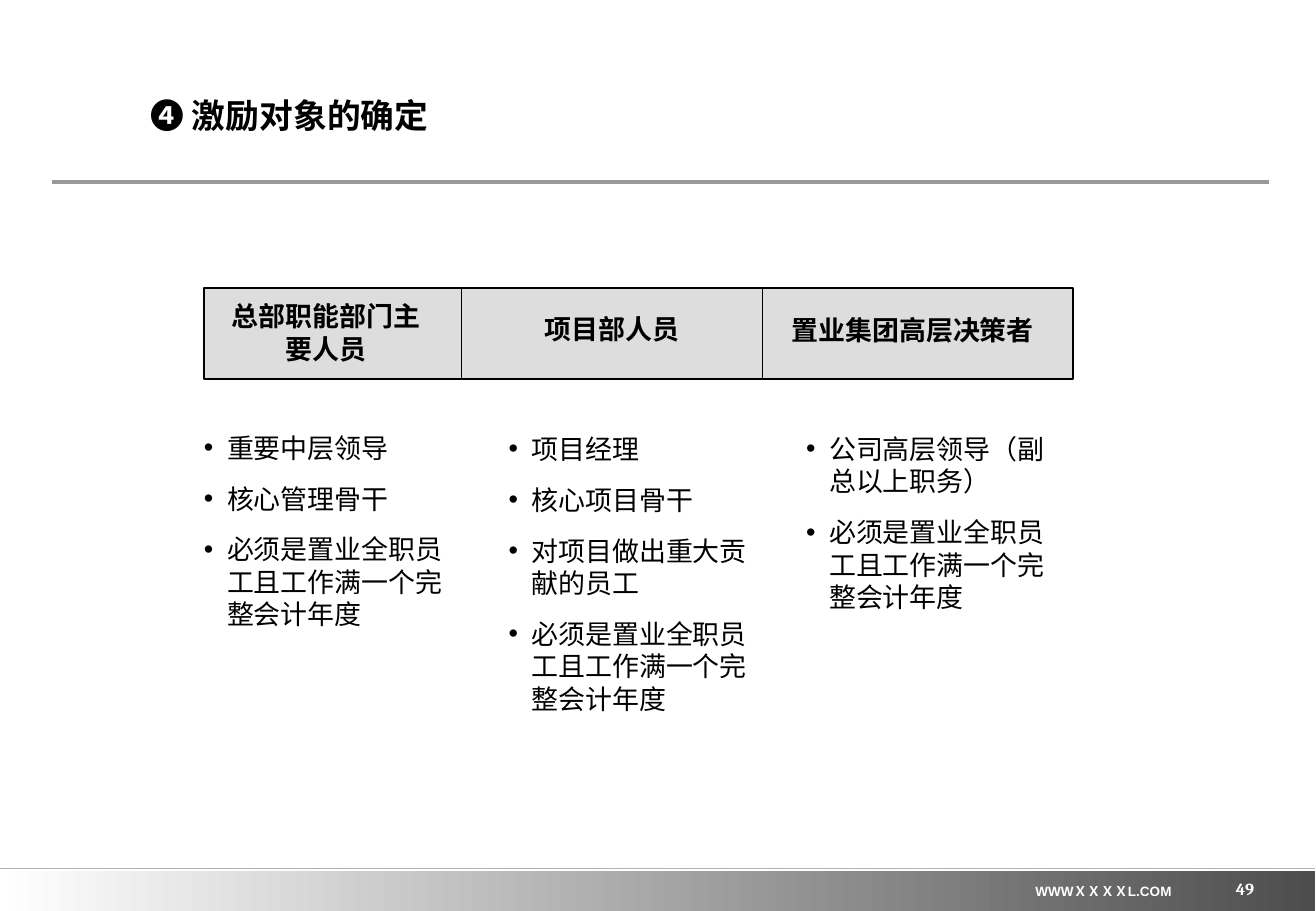
from dataclasses import dataclass

from lxml import etree
from pptx import Presentation
from pptx import util as u
from pptx.dml.color import RGBColor
from pptx.enum import shapes, text
from pptx.oxml import ns
from pptx.shapes.autoshape import Shape
from pptx.slide import Slide

COLORS = {
    "black": "000000",
    "white": "FFFFFF",
    "header": "DDDDDD",
    "title_rule": "999999",
    "footer_rule": "B2B2B2",
    "footer_end": "4D4D4D",
}
CJK_FONT = "Noto Sans CJK SC"
HEADER_TOP, HEADER_HEIGHT = 2.37, 0.75
BULLET_INDENT = 0.19
FULL_TIME_RULE = "必须是置业全职员工且工作满一个完整会计年度"


@dataclass(frozen=True)
class Box:
    left: float
    top: float
    width: float
    height: float

    def lengths(self) -> list[u.Length]:
        return [u.Inches(side) for side in (self.left, self.top, self.width, self.height)]


@dataclass(frozen=True)
class TextStyle:
    size: float
    font: str = "Arial"
    bold: bool = True
    color: str = "black"
    align: text.PP_ALIGN = text.PP_ALIGN.LEFT
    anchor: text.MSO_ANCHOR = text.MSO_ANCHOR.TOP
    margins: tuple[float, float] = (0, 0)
    line_spacing: float | None = None
    space_before: float = 0
    bullet: bool = False


@dataclass(frozen=True)
class Column:
    left: float
    width: float
    header: str
    header_box: Box
    items: tuple[str, ...]
    items_box: Box


@dataclass(frozen=True)
class Rule:
    left: float
    right: float
    top: float
    color: str
    width: float


TITLE = TextStyle(20, anchor=text.MSO_ANCHOR.MIDDLE)
HEADER = TextStyle(16, align=text.PP_ALIGN.CENTER, margins=(0.1, 0.05), line_spacing=19.5)
ITEMS = TextStyle(16, CJK_FONT, bold=False, line_spacing=19.2, space_before=11, bullet=True)
WEBSITE = TextStyle(8, color="white", align=text.PP_ALIGN.CENTER, margins=(0, 0.05))
PAGE_NUMBER = TextStyle(10, "Cambria", color="white", align=text.PP_ALIGN.RIGHT,
                        anchor=text.MSO_ANCHOR.BOTTOM)

COLUMNS = (
    Column(1.68, 2.12, "总部职能部门主要人员", Box(1.72, 2.41, 1.93, 0.64),
           ("重要中层领导", "核心管理骨干", FULL_TIME_RULE), Box(1.68, 3.55, 2.09, 1.64)),
    Column(3.8, 2.48, "项目部人员", Box(3.84, 2.52, 2.4, 0.37),
           ("项目经理", "核心项目骨干", "对项目做出重大贡献的员工", FULL_TIME_RULE),
           Box(4.19, 3.56, 2.13, 2.32)),
    Column(6.28, 2.56, "置业集团高层决策者", Box(6.32, 2.53, 2.4, 0.37),
           ("公司高层领导（副总以上职务）", FULL_TIME_RULE), Box(6.64, 3.56, 2.16, 1.49)),
)
RULES = (
    Rule(0.43, 10.45, 1.5, "title_rule", 2.5),
    Rule(0, 10.83, 7.15, "footer_rule", 1),
)


def rgb(name: str) -> RGBColor:
    return RGBColor.from_string(COLORS[name])


def set_attributes(target: object, values: dict[str, object]) -> None:
    for name, value in values.items():
        setattr(target, name, value)


def add_bullet(paragraph) -> None:
    properties = paragraph._p.get_or_add_pPr()
    properties.set("marL", str(u.Inches(BULLET_INDENT)))
    properties.set("indent", str(-u.Inches(BULLET_INDENT)))
    etree.SubElement(properties, ns.qn("a:buFont"), typeface="Arial")
    etree.SubElement(properties, ns.qn("a:buChar"), char="•")


def add_text(slide: Slide, box: Box, lines: tuple[str, ...], style: TextStyle) -> None:
    frame = slide.shapes.add_textbox(*box.lengths()).text_frame
    side, end = (u.Inches(margin) for margin in style.margins)
    set_attributes(frame, {
        "margin_left": side, "margin_right": side, "margin_top": end, "margin_bottom": end,
        "word_wrap": True, "vertical_anchor": style.anchor,
    })
    for index, line in enumerate(lines):
        paragraph = frame.add_paragraph() if index else frame.paragraphs[0]
        paragraph.alignment = style.align
        if style.line_spacing:
            paragraph.line_spacing = u.Pt(style.line_spacing)
        if index:
            paragraph.space_before = u.Pt(style.space_before)
        if style.bullet:
            add_bullet(paragraph)
        run = paragraph.add_run()
        run.text = line
        set_attributes(run.font, {"size": u.Pt(style.size), "bold": style.bold, "name": style.font})
        run.font.color.rgb = rgb(style.color)
        etree.SubElement(run._r.get_or_add_rPr(), ns.qn("a:ea"), typeface=CJK_FONT)


def add_rectangle(slide: Slide, box: Box) -> Shape:
    rectangle = slide.shapes.add_shape(shapes.MSO_SHAPE.RECTANGLE, *box.lengths())
    rectangle.shadow.inherit = False
    return rectangle


def add_footer_band(slide: Slide) -> None:
    band = add_rectangle(slide, Box(0, 7.17, 10.83, 0.33))
    band.line.fill.background()
    band.fill.gradient()
    band.fill.gradient_angle = 0
    for stop, position, color in zip(band.fill.gradient_stops, (0, 1), ("white", "footer_end")):
        stop.position = position
        stop.color.rgb = rgb(color)


def add_rule(slide: Slide, rule: Rule) -> None:
    ends = [u.Inches(value) for value in (rule.left, rule.top, rule.right, rule.top)]
    connector = slide.shapes.add_connector(shapes.MSO_CONNECTOR.STRAIGHT, *ends)
    connector.line.color.rgb = rgb(rule.color)
    connector.line.width = u.Pt(rule.width)
    etree.SubElement(connector._element.spPr, ns.qn("a:effectLst"))


def add_column(slide: Slide, column: Column) -> None:
    cell = add_rectangle(slide, Box(column.left, HEADER_TOP, column.width, HEADER_HEIGHT))
    cell.fill.solid()
    cell.fill.fore_color.rgb = rgb("header")
    cell.line.color.rgb = rgb("black")
    cell.line.width = u.Pt(0.75)
    add_text(slide, column.header_box, (column.header,), HEADER)
    add_text(slide, column.items_box, column.items, ITEMS)


def main() -> None:
    presentation = Presentation()
    set_attributes(presentation, {"slide_width": u.Inches(10.84), "slide_height": u.Inches(7.5)})
    slide = presentation.slides.add_slide(presentation.slide_layouts[6])
    add_footer_band(slide)
    for rule in RULES:
        add_rule(slide, rule)
    add_text(slide, Box(8.34, 7.22, 1.5, 0.24), ("WWWＸＸＸＸL.COM",), WEBSITE)
    add_text(slide, Box(1.24, 0.58, 9.1, 0.73), ("❹ 激励对象的确定",), TITLE)
    for column in COLUMNS:
        add_column(slide, column)
    add_text(slide, Box(8.07, 7.07, 2.26, 0.33), ("49",), PAGE_NUMBER)
    presentation.save("out.pptx")


if __name__ == "__main__":
    main()
